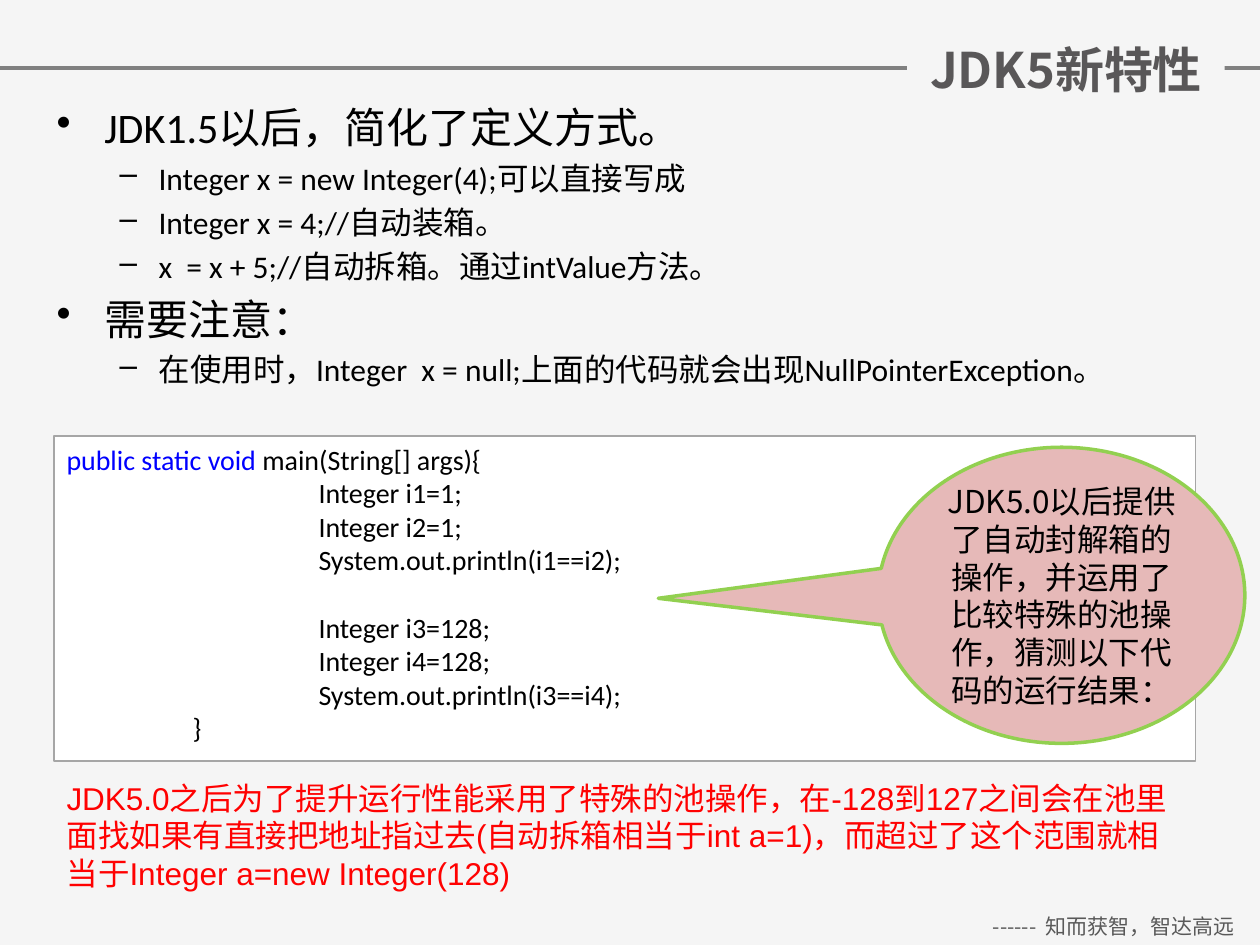
from dataclasses import dataclass

import pptx
import pptx.dml.color
import pptx.enum.shapes
import pptx.enum.text
import pptx.oxml.ns
import pptx.oxml.xmlchemy
import pptx.util
from pptx.util import Inches

SHAPE = pptx.enum.shapes.MSO_SHAPE
ALIGN = pptx.enum.text.PP_ALIGN
ANCHOR = pptx.enum.text.MSO_ANCHOR
qn = pptx.oxml.ns.qn
new_element = pptx.oxml.xmlchemy.OxmlElement


@dataclass(frozen=True)
class Theme:
    background: str = "F5F5F5"
    rule: str = "808080"
    footer: str = "595959"
    title: str = "595758"
    ink: str = "000000"
    keyword: str = "0000FF"
    answer: str = "FF0101"
    code_fill: str = "FFFFFF"
    code_edge: str = "A6A6A6"
    callout_fill: str = "E6B9B8"
    callout_edge: str = "92D050"
    title_size: int = 28
    topic_size: int = 24
    text_size: int = 18
    code_size: int = 16
    footer_size: int = 12
    cjk: str = "Noto Sans CJK SC"
    latin: str = "Calibri"
    answer_font: str = "Arial"


THEME = Theme()


@dataclass(frozen=True)
class Run:
    text: str
    size: int
    font: str
    color: str = THEME.ink
    bold: bool = False


@dataclass(frozen=True)
class Line:
    runs: tuple[Run, ...]
    align: ALIGN = ALIGN.LEFT
    margin: float = 0
    hanging: float = 0
    bullet: str = ""
    before: float = 0


def rgb(value: str) -> pptx.dml.color.RGBColor:
    return pptx.dml.color.RGBColor.from_string(value)


def write(shape, lines: list[Line], anchor: ANCHOR = ANCHOR.TOP) -> None:
    frame = shape.text_frame
    frame.word_wrap = True
    frame.vertical_anchor = anchor
    for index, line in enumerate(lines):
        paragraph = frame.add_paragraph() if index else frame.paragraphs[0]
        paragraph.alignment = line.align
        paragraph.space_before = pptx.util.Pt(line.before)
        properties = paragraph._p.get_or_add_pPr()
        properties.set("marL", str(int(Inches(line.margin))))
        properties.set("indent", str(int(Inches(-line.hanging))))
        if line.bullet:
            bullet = new_element("a:buChar")
            bullet.set("char", line.bullet)
            properties.append(bullet)
        for part in line.runs:
            run = paragraph.add_run()
            run.text = part.text
            run.font.size = pptx.util.Pt(part.size)
            run.font.name = part.font
            run.font.bold = part.bold
            run.font.color.rgb = rgb(part.color)
            east_asian = new_element("a:ea")
            east_asian.set("typeface", THEME.cjk)
            run._r.rPr.find(qn("a:latin")).addnext(east_asian)


def text_box(slide, left: float, top: float, width: float, height: float):
    return slide.shapes.add_textbox(Inches(left), Inches(top), Inches(width), Inches(height))


def panel(slide, kind: SHAPE, left: float, top: float, width: float, height: float,
          fill: str, edge: str = "", weight: float = 0):
    shape = slide.shapes.add_shape(kind, Inches(left), Inches(top), Inches(width), Inches(height))
    shape.shadow.inherit = False
    shape.fill.solid()
    shape.fill.fore_color.rgb = rgb(fill)
    if edge:
        shape.line.color.rgb = rgb(edge)
        shape.line.width = pptx.util.Pt(weight)
    else:
        shape.line.fill.background()
    return shape


def topic(text: str, before: float = 0) -> Line:
    return Line((Run(text, THEME.topic_size, THEME.latin),),
                margin=0.38, hanging=0.38, bullet="•", before=before)


def detail(text: str) -> Line:
    return Line((Run(text, THEME.text_size, THEME.latin),),
                margin=0.81, hanging=0.31, bullet="–", before=THEME.text_size * 0.2)


def code(text: str, depth: int, before: float = 0) -> Line:
    return Line((Run(text, THEME.code_size, THEME.latin),), margin=depth, before=before)


presentation = pptx.Presentation()
presentation.slide_width = Inches(10)
presentation.slide_height = Inches(7.5)
slide = presentation.slides.add_slide(presentation.slide_layouts[6])
slide.background.fill.solid()
slide.background.fill.fore_color.rgb = rgb(THEME.background)

header_rule = slide.shapes.add_connector(
    pptx.enum.shapes.MSO_CONNECTOR.STRAIGHT, Inches(0), Inches(0.54), Inches(10), Inches(0.54))
header_rule.line.color.rgb = rgb(THEME.rule)
header_rule.line.width = pptx.util.Pt(2)
header_rule._element.spPr.append(new_element("a:effectLst"))

motto = text_box(slide, 7.68, 7.2, 2.32, 0.3)
write(motto, [Line((Run("------  知而获智，智达高远", THEME.footer_size, THEME.cjk, THEME.footer),),
                   ALIGN.CENTER)])

title = panel(slide, SHAPE.RECTANGLE, 7.2, 0.26, 2.52, 0.57, THEME.background)
write(title, [Line((Run("JDK5新特性", THEME.title_size, THEME.cjk, THEME.title, True),),
                   ALIGN.CENTER)], ANCHOR.MIDDLE)

boxing_rules = text_box(slide, 0.35, 0.76, 9.29, 2.52)
write(boxing_rules, [
    topic("JDK1.5以后，简化了定义方式。"),
    detail("Integer x = new Integer(4);可以直接写成"),
    detail("Integer x = 4;//自动装箱。"),
    detail("x  = x + 5;//自动拆箱。通过intValue方法。"),
    topic("需要注意：", THEME.topic_size * 0.2),
    detail("在使用时，Integer  x = null;上面的代码就会出现NullPointerException。"),
])

answer = text_box(slide, 0.43, 6.13, 9.06, 1)
write(answer, [Line((Run(
    "JDK5.0之后为了提升运行性能采用了特殊的池操作，在-128到127之间会在池里面找如果有直接把地址指过去"
    "(自动拆箱相当于int a=1)，而超过了这个范围就相当于Integer a=new Integer(128)",
    THEME.text_size, THEME.answer_font, THEME.answer),))])

listing = panel(slide, SHAPE.RECTANGLE, 0.43, 3.46, 9.06, 2.58,
                THEME.code_fill, THEME.code_edge, 1)
write(listing, [
    Line((Run("public static void ", THEME.code_size, THEME.latin, THEME.keyword),
          Run("main(String[] args){", THEME.code_size, THEME.latin))),
    code("Integer i1=1;", 2),
    code("Integer i2=1;", 2),
    code("System.out.println(i1==i2);", 2),
    code("Integer i3=128;", 2, THEME.code_size * 1.2),
    code("Integer i4=128;", 2),
    code("System.out.println(i3==i4);", 2),
    code("}", 1),
])

question = panel(slide, SHAPE.OVAL_CALLOUT, 6.97, 3.55, 2.91, 2.35,
                 THEME.callout_fill, THEME.callout_edge, 2)
question.adjustments[0] = -1.1
question.adjustments[1] = 0.01
write(question, [Line((Run(
    "JDK5.0以后提供了自动封解箱的操作，并运用了比较特殊的池操作，猜测以下代码的运行结果：",
    THEME.text_size, THEME.cjk),), ALIGN.CENTER)], ANCHOR.MIDDLE)

presentation.save("out.pptx")
